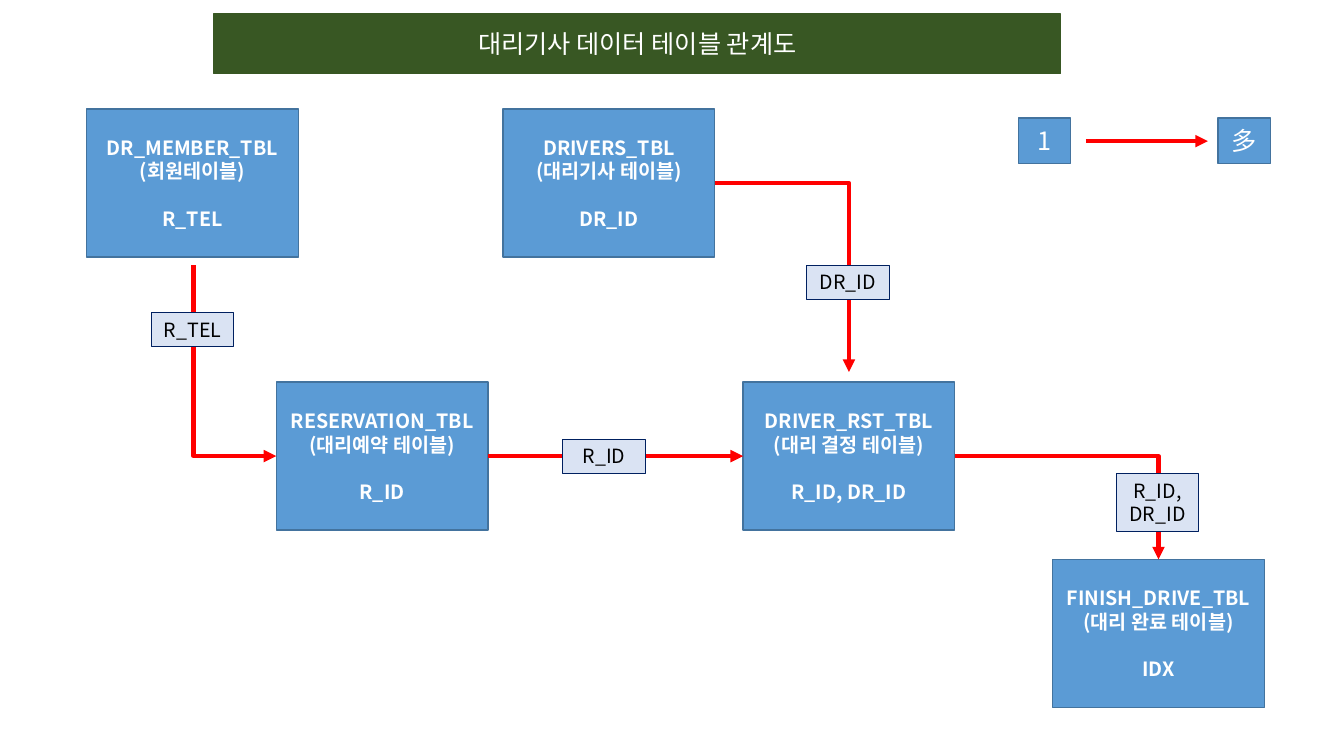
from dataclasses import dataclass
from typing import Any, Optional

from lxml.etree import SubElement
from pptx import Presentation
from pptx.dml.color import RGBColor
from pptx.enum.shapes import MSO_CONNECTOR, MSO_SHAPE
from pptx.enum.text import MSO_ANCHOR, MSO_AUTO_SIZE, PP_ALIGN
from pptx.oxml.ns import qn
from pptx.util import Inches, Pt


@dataclass(frozen=True)
class Theme:
    face: str = "Noto Sans CJK KR"
    blue: str = "5B9BD5"
    edge: str = "43739E"
    pale: str = "DAE3F3"
    navy: str = "002060"
    green: str = "385723"
    red: str = "FF0000"
    white: str = "FFFFFF"
    black: str = "000000"
    small: float = 14
    large: float = 18
    gap: float = 17
    thin: float = 0.75
    rim: float = 1
    thick: float = 3


@dataclass(frozen=True)
class Style:
    fill: str
    line: str
    width: float
    ink: str
    size: float
    bold: bool = False
    tag: bool = False


@dataclass(frozen=True)
class Box:
    left: float
    top: float
    width: float
    height: float
    lines: tuple[str, ...]
    style: Style


@dataclass(frozen=True)
class Link:
    start: tuple[float, float]
    end: tuple[float, float]
    bent: bool = False
    source: Optional[tuple[str, int]] = None
    target: Optional[tuple[str, int]] = None
    tip: str = "a:tailEnd"


THEME = Theme()
TABLE = Style(THEME.blue, THEME.edge, THEME.rim, THEME.white, THEME.small, bold=True)
KEY = Style(THEME.blue, THEME.edge, THEME.rim, THEME.white, THEME.large)
TITLE = Style(THEME.green, THEME.green, THEME.rim, THEME.white, THEME.large)
LABEL = Style(THEME.pale, THEME.navy, THEME.thin, THEME.black, THEME.small, tag=True)


def table(left: float, top: float, name: str, note: str, keys: str) -> Box:
    return Box(left, top, 2.1, 1.47, (name, note, keys), TABLE)


def label(left: float, top: float, text: str, height: float = 0.34) -> Box:
    return Box(left, top, 0.82, height, (text,), LABEL)


TABLES = {
    "member": table(0.86, 1.08, "DR_MEMBER_TBL", "(회원테이블)", "R_TEL"),
    "drivers": table(4.99, 1.08, "DRIVERS_TBL", "(대리기사 테이블)", "DR_ID"),
    "booking": table(2.74, 3.79, "RESERVATION_TBL", "(대리예약 테이블)", "R_ID"),
    "result": table(7.37, 3.79, "DRIVER_RST_TBL", "(대리 결정 테이블)", "R_ID, DR_ID"),
    "finish": table(10.44, 5.55, "FINISH_DRIVE_TBL", "(대리 완료 테이블)", "IDX"),
}
LINKS = [
    Link((2.74, 4.52), (1.92, 2.63), True, source=("booking", 1), tip="a:headEnd"),
    Link((7.09, 1.82), (8.42, 3.69), True, source=("drivers", 3)),
    Link((4.84, 4.52), (7.37, 4.52), source=("booking", 3), target=("result", 1)),
    Link((9.47, 4.52), (11.49, 5.55), True, ("result", 3), ("finish", 0)),
    Link((10.77, 1.4), (11.98, 1.4)),
]
OTHERS = [
    label(1.5, 3.1, "R_TEL"),
    label(5.58, 4.36, "R_ID"),
    label(8, 2.63, "DR_ID"),
    label(11.07, 4.7, "R_ID, DR_ID", 0.57),
    Box(2.12, 0.14, 8.4, 0.59, ("대리기사 데이터 테이블 관계도",), TITLE),
    Box(10.1, 1.17, 0.52, 0.45, ("1",), KEY),
    Box(12.08, 1.17, 0.52, 0.45, ("多",), KEY),
]


def apply(item: Any, values: dict[str, Any]) -> None:
    for name, value in values.items():
        setattr(item, name, value)


def draw_box(slide: Any, box: Box) -> Any:
    style = box.style
    place = map(Inches, (box.left, box.top, box.width, box.height))
    shape = slide.shapes.add_shape(MSO_SHAPE.RECTANGLE, *place)
    shape.shadow.inherit = False
    shape.fill.solid()
    shape.fill.fore_color.rgb = RGBColor.from_string(style.fill)
    shape.line.color.rgb = RGBColor.from_string(style.line)
    shape.line.width = Pt(style.width)
    frame = shape.text_frame
    apply(frame, {
        "word_wrap": True,
        "vertical_anchor": MSO_ANCHOR.TOP if style.tag else MSO_ANCHOR.MIDDLE,
        "auto_size": MSO_AUTO_SIZE.SHAPE_TO_FIT_TEXT if style.tag else MSO_AUTO_SIZE.NONE,
    })
    for index, text in enumerate(box.lines):
        para = frame.add_paragraph() if index else frame.paragraphs[0]
        para.alignment = PP_ALIGN.CENTER
        if index == 2:
            para.space_before = Pt(THEME.gap)
        run = para.add_run()
        run.text = text
        apply(run.font, {"name": THEME.face, "size": Pt(style.size), "bold": style.bold})
        run.font.color.rgb = RGBColor.from_string(style.ink)
        SubElement(run.font._element, qn("a:ea"), typeface=THEME.face)
    return shape


def draw_link(slide: Any, link: Link, shapes: dict[str, Any]) -> None:
    kind = MSO_CONNECTOR.ELBOW if link.bent else MSO_CONNECTOR.STRAIGHT
    line = slide.shapes.add_connector(kind, *map(Inches, link.start + link.end))
    if link.source:
        line.begin_connect(shapes[link.source[0]], link.source[1])
    if link.target:
        line.end_connect(shapes[link.target[0]], link.target[1])
    props = line._element.spPr
    if link.bent:
        props.find(qn("a:prstGeom")).set("prst", "bentConnector2")
    line.line.color.rgb = RGBColor.from_string(THEME.red)
    line.line.width = Pt(THEME.thick)
    SubElement(props.find(qn("a:ln")), qn(link.tip), type="triangle")
    SubElement(props, qn("a:effectLst"))


def main() -> None:
    deck = Presentation()
    apply(deck, {"slide_width": Inches(13.33), "slide_height": Inches(7.5)})
    slide = deck.slides.add_slide(deck.slide_layouts[6])
    shapes = {name: draw_box(slide, box) for name, box in TABLES.items()}
    for link in LINKS:
        draw_link(slide, link, shapes)
    for box in OTHERS:
        draw_box(slide, box)
    deck.save("out.pptx")


if __name__ == "__main__":
    main()
